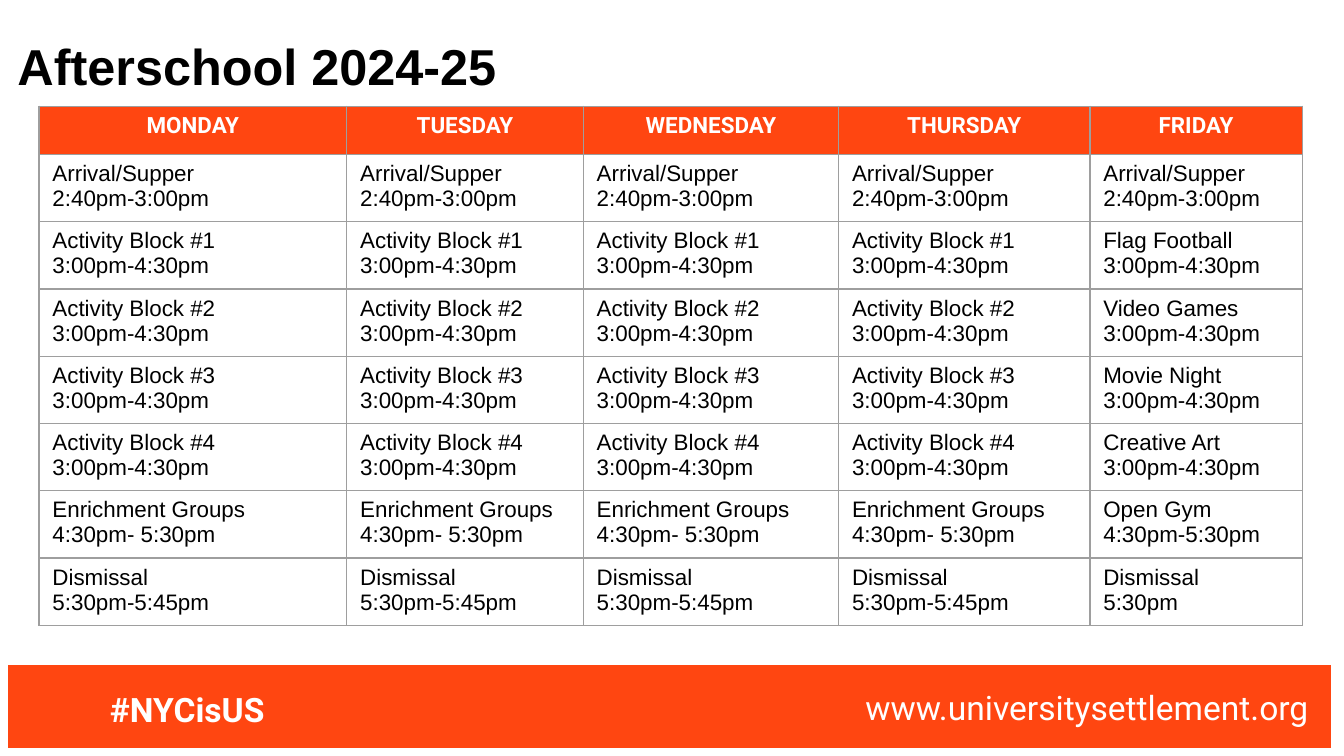
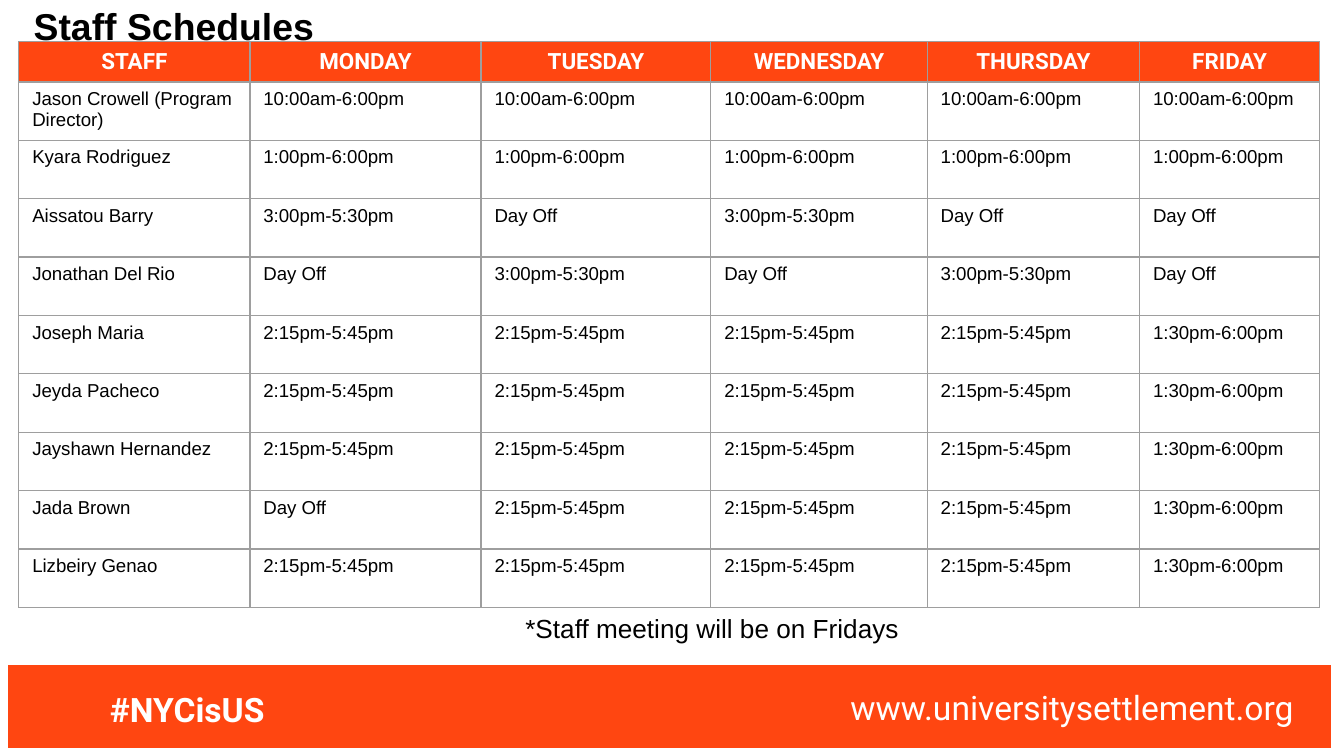
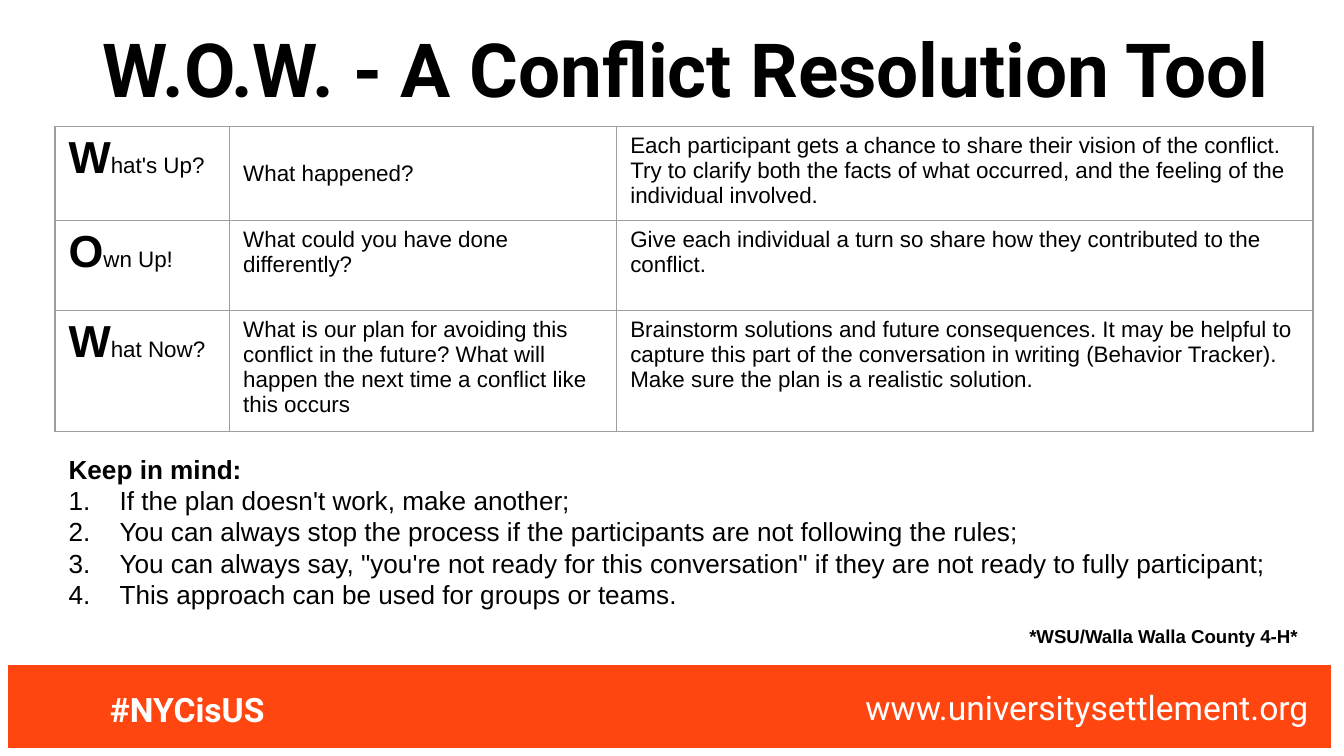
from lxml.etree import SubElement
from pptx import Presentation
from pptx.dml.color import RGBColor
from pptx.enum.shapes import MSO_SHAPE
from pptx.enum.text import MSO_ANCHOR, MSO_AUTO_SIZE, PP_ALIGN
from pptx.oxml.ns import qn
from pptx.util import Inches, Pt

ORANGE, WHITE, BLACK, GRAY = "FF4611", "FFFFFF", "000000", "9E9E9E"
TITLE_ONLY, TITLE_AND_BODY = 5, 1

HEADER = dict(name="Roboto", size=12, bold=True, color=WHITE)
CELL = dict(name="Arial", size=12, bold=False, color=BLACK)
STAFF_CELL = CELL | dict(size=10)
INITIAL = CELL | dict(size=24, bold=True)
HASHTAG = HEADER | dict(size=18)
WEBSITE = HASHTAG | dict(bold=False)
NOTE = CELL | dict(size=14)
LIST_HEADING = NOTE | dict(bold=True)
CREDIT = STAFF_CELL | dict(bold=True)
TITLE = CELL | dict(bold=True)

DAYS = ["MONDAY", "TUESDAY", "WEDNESDAY", "THURSDAY", "FRIDAY"]

WEEKDAY_BLOCKS = [
    ["Arrival/Supper", "2:40pm-3:00pm"],
    ["Activity Block #1\n3:00pm-4:30pm"],
    ["Activity Block #2\n3:00pm-4:30pm"],
    ["Activity Block #3\n3:00pm-4:30pm"],
    ["Activity Block #4\n3:00pm-4:30pm"],
    ["Enrichment Groups\n4:30pm- 5:30pm"],
    ["Dismissal\n5:30pm-5:45pm"],
]
FRIDAY_BLOCKS = [
    ["Arrival/Supper", "2:40pm-3:00pm"],
    ["Flag Football", "3:00pm-4:30pm"],
    ["Video Games", "3:00pm-4:30pm"],
    ["Movie Night", "3:00pm-4:30pm"],
    ["Creative Art", "3:00pm-4:30pm"],
    ["Open Gym", "4:30pm-5:30pm"],
    ["Dismissal", "5:30pm"],
]

OFF = "Day Off"
EARLY, LATE = "1:30pm-6:00pm", "2:15pm-5:45pm"
SHORT = "3:00pm-5:30pm"
STAFF = [
    ("Jason Crowell (Program Director)", ["10:00am-6:00pm"] * 5),
    ("Kyara Rodriguez", ["1:00pm-6:00pm"] * 5),
    ("Aissatou Barry", [SHORT, OFF, SHORT, OFF, OFF]),
    ("Jonathan Del Rio", [OFF, SHORT, OFF, SHORT, OFF]),
    ("Joseph Maria", [LATE] * 4 + [EARLY]),
    ("Jeyda Pacheco", [LATE] * 4 + [EARLY]),
    ("Jayshawn Hernandez", [LATE] * 4 + [EARLY]),
    ("Jada Brown", [OFF] + [LATE] * 3 + [EARLY]),
    ("Lizbeiry Genao", [LATE] * 4 + [EARLY]),
]

WOW_STEPS = [
    ("What's Up?", "What happened?",
     "Each participant gets a chance to share their vision of the conflict. "
     "Try to clarify both the facts of what occurred, and the feeling of the "
     "individual involved."),
    ("Own Up!", "What could you have done differently?",
     "Give each individual a turn so share how they contributed to the conflict."),
    ("What Now?",
     "What is our plan for avoiding this conflict in the future? What will "
     "happen the next time a conflict like this occurs ",
     "Brainstorm solutions and future consequences. It may be helpful to capture "
     "this part of the conversation in writing (Behavior Tracker). Make sure the "
     "plan is a realistic solution."),
]
REMINDERS = [
    "If the plan doesn't work, make another;",
    "You can always stop the process if the participants are not following the rules;",
    'You can always say, "you\'re not ready for this conversation" if they are '
    "not ready to fully participant;",
    "This approach can be used for groups or teams.",
]


def rgb(color):
    return RGBColor.from_string(color)


def add_break(paragraph, size):
    paragraph.add_line_break()
    line_break = paragraph._p.findall(qn("a:br"))[-1]
    SubElement(line_break, qn("a:rPr"), sz=str(size * 100))


def add_run(paragraph, text, style):
    values = style | dict(size=Pt(style["size"]))
    color = values.pop("color")
    for index, line in enumerate(text.split("\n")):
        if index:
            add_break(paragraph, style["size"])
        run = paragraph.add_run()
        run.text = line
        run.font.color.rgb = rgb(color)
        for attribute, value in values.items():
            setattr(run.font, attribute, value)


def write(frame, paragraphs, align=PP_ALIGN.LEFT):
    for index, runs in enumerate(paragraphs):
        paragraph = frame.paragraphs[0] if index == 0 else frame.add_paragraph()
        paragraph.alignment = align
        for text, style in runs:
            add_run(paragraph, text, style)


def place(shape, box):
    for attribute, value in zip(("left", "top", "width", "height"), box):
        setattr(shape, attribute, Inches(value))


def add_text(shapes, box, text, style):
    frame = shapes.add_textbox(*map(Inches, box)).text_frame
    frame.word_wrap = True
    write(frame, [[(text, style)]])


def add_footer(slide, website_left):
    group = slide.shapes.add_group_shape()
    band = group.shapes.add_shape(
        MSO_SHAPE.RECTANGLE, *map(Inches, (4.64, 0.3, 0.68, 9.91)))
    band.rotation = 90
    band.shadow.inherit = False
    band.fill.solid()
    band.fill.fore_color.rgb = rgb(ORANGE)
    band.line.color.rgb = rgb(WHITE)
    band.line.width = Pt(4.5)
    add_text(group.shapes, (0.72, 5.08, 2.44, 0.4), "#NYCisUS", HASHTAG)
    add_text(slide.shapes, (website_left, 5.06, 4.04, 0.4),
             "www.universitysettlement.org", WEBSITE)


def add_slide(presentation, layout, title, box, style, align=PP_ALIGN.LEFT,
              website_left=6.34):
    slide = presentation.slides.add_slide(presentation.slide_layouts[layout])
    place(slide.shapes.title, box)
    frame = slide.shapes.title.text_frame
    frame.auto_size = MSO_AUTO_SIZE.NONE
    frame.vertical_anchor = MSO_ANCHOR.TOP
    for side in ("left", "top", "right", "bottom"):
        setattr(frame, f"margin_{side}", Inches(0.1))
    write(frame, [[(title, TITLE | style)]], align)
    add_footer(slide, website_left)
    return slide


def add_borders(cell):
    properties = cell._tc.get_or_add_tcPr()
    for side in ("lnL", "lnR", "lnT", "lnB"):
        line = SubElement(properties, qn(f"a:{side}"), w=str(Pt(0.75)))
        SubElement(SubElement(line, qn("a:solidFill")), qn("a:srgbClr"), val=GRAY)


def add_table(slide, left, top, widths, heights, rows, header=None):
    cells = [[[[(name, HEADER)]] for name in header]] if header else []
    cells += rows
    box = (left, top, sum(widths), sum(heights))
    table = slide.shapes.add_table(
        len(heights), len(widths), *map(Inches, box)).table
    table.first_row = bool(header)
    table.horz_banding = False
    for column, width in zip(table.columns, widths):
        column.width = Inches(width)
    for row_index, (row, height) in enumerate(zip(table.rows, heights)):
        row.height = Inches(height)
        is_header = bool(header) and row_index == 0
        for cell, paragraphs in zip(row.cells, cells[row_index]):
            add_borders(cell)
            if is_header:
                cell.fill.solid()
                cell.fill.fore_color.rgb = rgb(ORANGE)
            else:
                cell.fill.background()
            write(cell.text_frame, paragraphs,
                  PP_ALIGN.CENTER if is_header else PP_ALIGN.LEFT)
    return table


def add_reminders(slide):
    body = slide.placeholders[1]
    place(body, (0.41, 3.32, 9.36, 1.28))
    frame = body.text_frame
    frame.auto_size = MSO_AUTO_SIZE.NONE
    write(frame, [[("Keep in mind:", LIST_HEADING)]]
          + [[(reminder, NOTE)] for reminder in REMINDERS])
    for index, paragraph in enumerate(frame.paragraphs):
        paragraph.space_before = Pt(0)
        properties = paragraph._p.get_or_add_pPr()
        indent = Inches(0.38) if index else 0
        properties.set("marL", str(indent))
        properties.set("indent", str(-indent))
        if index:
            color = SubElement(properties, qn("a:buClr"))
            SubElement(color, qn("a:srgbClr"), val=BLACK)
            SubElement(properties, qn("a:buFont"), typeface="Arial")
            SubElement(properties, qn("a:buAutoNum"), type="arabicPeriod")
        else:
            SubElement(properties, qn("a:buNone"))


def build_afterschool(presentation):
    slide = add_slide(presentation, TITLE_ONLY, "Afterschool 2024-25",
                      (0.03, 0.16, 5.83, 0.63), dict(size=27))
    rows = [
        [[[(line, CELL)] for line in block] for block in [weekday] * 4 + [friday]]
        for weekday, friday in zip(WEEKDAY_BLOCKS, FRIDAY_BLOCKS)
    ]
    add_table(slide, 0.29, 0.79, [2.29, 1.76, 1.9, 1.87, 1.58],
              [0.36] + [0.5] * len(rows), rows, DAYS)


def build_staff(presentation):
    slide = add_slide(presentation, TITLE_ONLY, "Staff Schedules",
                      (0.15, -0.08, 3.19, 0.63), dict(size=20), website_left=6.23)
    rows = [
        [[[(text, STAFF_CELL)]] for text in [name] + shifts]
        for name, shifts in STAFF
    ]
    row_height = 3.91 / len(rows)
    add_table(slide, 0.14, 0.31, [1.72, 1.72, 1.71, 1.61, 1.58, 1.34],
              [0.3] + [row_height] * len(rows), rows, ["STAFF"] + DAYS)
    add_text(slide.shapes, (3.81, 4.51, 3.01, 0.34),
             "*Staff meeting will be on Fridays", NOTE)


def build_wow(presentation):
    slide = add_slide(presentation, TITLE_AND_BODY,
                      "W.O.W. - A Conflict Resolution Tool", (0.2, 0.07, 9.8, 0.63),
                      dict(size=40, name="Roboto"), PP_ALIGN.CENTER)
    rows = [
        [[[(step[0], INITIAL), (step[1:], CELL)]],
         [[(question, CELL)]],
         [[(guidance, CELL)]]]
        for step, question, guidance in WOW_STEPS
    ]
    table = add_table(slide, 0.41, 0.94, [1.3, 2.88, 5.18], [0.7, 0.67, 0.9], rows)
    table.cell(0, 1).vertical_anchor = MSO_ANCHOR.MIDDLE
    add_reminders(slide)
    add_text(slide.shapes, (7.56, 4.6, 2.21, 0.27),
             "*WSU/Walla Walla County 4-H*", CREDIT)


def main():
    presentation = Presentation()
    presentation.slide_width = Inches(10)
    presentation.slide_height = Inches(10 * 9 / 16)
    build_afterschool(presentation)
    build_staff(presentation)
    build_wow(presentation)
    presentation.save("out.pptx")


if __name__ == "__main__":
    main()
